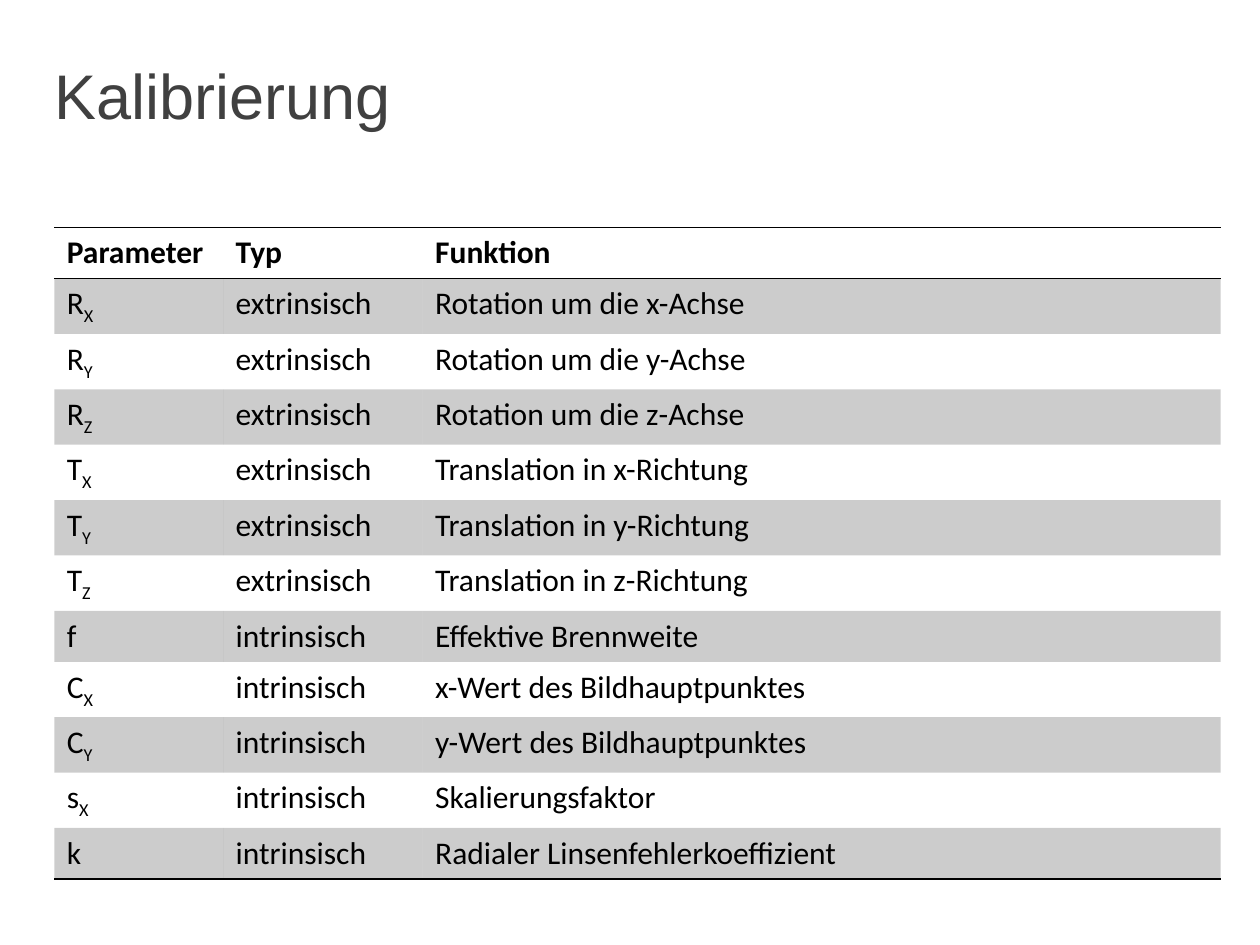
from lxml import etree
from pptx import Presentation
from pptx.dml.color import RGBColor
from pptx.enum.text import MSO_ANCHOR, PP_ALIGN
from pptx.oxml.ns import qn
from pptx.util import Pt

TOP, LEFT = MSO_ANCHOR.TOP, PP_ALIGN.LEFT
TITLE_ONLY = 5
PLAIN_STYLE = "{2D5ABB26-0587-4C30-8999-92F81FD0307C}"
COLORS = {"title": "404040", "text": "000000", "rule": "000000", "band": "000000"}
BAND_OPACITY = 20

HEADINGS = ("Parameter", "Typ", "Funktion")
COLUMN_WIDTHS = (96.5, 114, 456)
ROW_HEIGHT = 29.2
# Symbol, subscript, type, function
PARAMETERS = [
    ("R", "X", "extrinsisch", "Rotation um die x-Achse"),
    ("R", "Y", "extrinsisch", "Rotation um die y-Achse"),
    ("R", "Z", "extrinsisch", "Rotation um die z-Achse"),
    ("T", "X", "extrinsisch", "Translation in x-Richtung"),
    ("T", "Y", "extrinsisch", "Translation in y-Richtung"),
    ("T", "Z", "extrinsisch", "Translation in z-Richtung"),
    ("f", "", "intrinsisch", "Effektive Brennweite"),
    ("C", "X", "intrinsisch", "x-Wert des Bildhauptpunktes"),
    ("C", "Y", "intrinsisch", "y-Wert des Bildhauptpunktes"),
    ("s", "X", "intrinsisch", "Skalierungsfaktor"),
    ("k", "", "intrinsisch", "Radialer Linsenfehlerkoeffizient"),
]


def add_run(paragraph, text, font, size, color, bold=False, subscript=False):
    run = paragraph.add_run()
    run.text = text
    run.font.name = font
    run.font.size = Pt(size)
    run.font.bold = bold
    run.font.color.rgb = RGBColor.from_string(COLORS[color])
    if subscript:
        run.font._element.set("baseline", "-25000")


def add_cell_text(cell, text, bold=False, subscript=""):
    paragraph = cell.text_frame.paragraphs[0]
    add_run(paragraph, text, "Calibri", 18, "text", bold)
    if subscript:
        add_run(paragraph, subscript, "Calibri", 18, "text", subscript=True)


def shade(cell):
    cell.fill.solid()
    cell.fill.fore_color.rgb = RGBColor.from_string(COLORS["band"])
    color = cell._tc.tcPr.find(qn("a:solidFill")).find(qn("a:srgbClr"))
    etree.SubElement(color, qn("a:alpha"), val=str(BAND_OPACITY * 1000))


def rule(cell, *sides):
    properties = cell._tc.get_or_add_tcPr()
    for position, side in enumerate(sides):
        line = etree.Element(qn(f"a:ln{side}"), w=str(Pt(1)))
        fill = etree.SubElement(line, qn("a:solidFill"))
        etree.SubElement(fill, qn("a:srgbClr"), val=COLORS["rule"])
        properties.insert(position, line)


def place_title(slide, left, top, width, height):
    title = slide.shapes.title
    title.left, title.top = Pt(left), Pt(top)
    title.width, title.height = Pt(width), Pt(height)
    frame = title.text_frame
    frame.margin_left = frame.margin_right = frame.margin_bottom = 0
    frame.margin_top = Pt(4.5)
    frame.vertical_anchor = TOP
    frame.word_wrap = True
    paragraph = frame.paragraphs[0]
    paragraph.alignment = LEFT
    add_run(paragraph, "Kalibrierung", "Arial", 36, "title")


def place_parameter_table(slide, left, top):
    row_count = len(PARAMETERS) + 1
    frame = slide.shapes.add_table(
        row_count, len(HEADINGS), Pt(left), Pt(top),
        Pt(sum(COLUMN_WIDTHS)), Pt(ROW_HEIGHT * row_count))
    table = frame.table
    table._tbl.tblPr.find(qn("a:tableStyleId")).text = PLAIN_STYLE
    for column, width in zip(table.columns, COLUMN_WIDTHS):
        column.width = Pt(width)
    for row in table.rows:
        row.height = Pt(ROW_HEIGHT)

    # Heading row
    for column, heading in enumerate(HEADINGS):
        cell = table.cell(0, column)
        add_cell_text(cell, heading, bold=True)
        cell.fill.background()
        rule(cell, "T", "B")

    # Parameter rows, every other one shaded
    for row, (symbol, index, kind, function) in enumerate(PARAMETERS, 1):
        add_cell_text(table.cell(row, 0), symbol, subscript=index)
        add_cell_text(table.cell(row, 1), kind)
        add_cell_text(table.cell(row, 2), function)
        for cell in table.rows[row].cells:
            if row % 2:
                shade(cell)
            else:
                cell.fill.background()
            if row == len(PARAMETERS):
                rule(cell, "B")


def main():
    presentation = Presentation()
    presentation.slide_width, presentation.slide_height = Pt(720), Pt(540)
    slide = presentation.slides.add_slide(presentation.slide_layouts[TITLE_ONLY])
    place_title(slide, 31, 28, 666.5, 90)
    place_parameter_table(slide, 31, 130)
    presentation.save("out.pptx")


if __name__ == "__main__":
    main()
